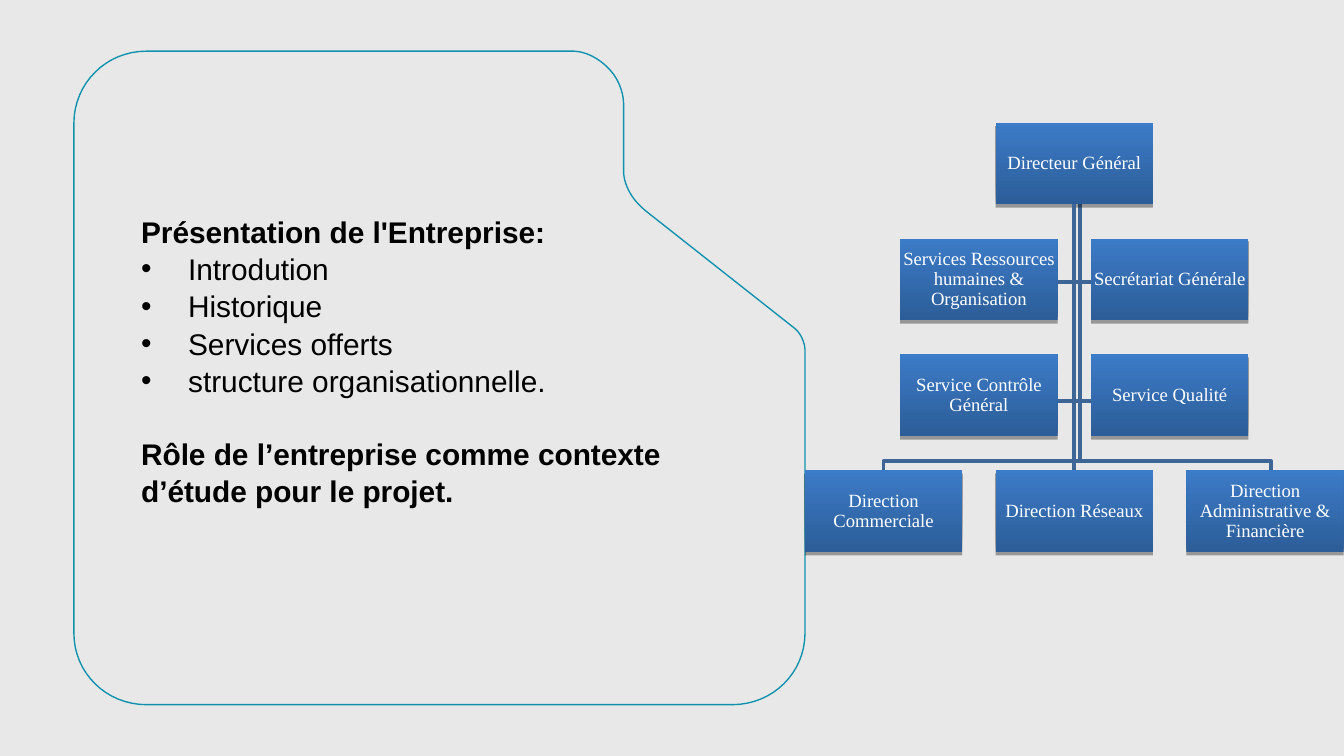
from dataclasses import dataclass

from lxml import etree
from pptx import Presentation
from pptx.dml.color import RGBColor
from pptx.enum import shapes, text
from pptx.oxml import ns
from pptx.util import Pt


@dataclass(frozen=True)
class Theme:
    back: str = "E8E8E8"
    frame: str = "1092AF"
    link: str = "3D6696"
    low: str = "2C5D98"
    high: str = "3C7BC7"
    ink: str = "000000"
    light: str = "FFFFFF"
    body: float = 16
    label: float = 10


THEME = Theme()
BOX_W, BOX_H = 84.3, 43.8
LEFT, TOP = 431.2, 65.7
STEP_X, STEP_Y = 51.1, 62.1
MID = LEFT + 2 * STEP_X + BOX_W / 2
LINE = 19.2

# Two numbers are a corner, six are a curve: two handles and an end.
FRAME = [
    (431.3, 339.1), (431.3, 360.5, 414, 377.5, 392.4, 377.5),
    (78.5, 377.5), (56.9, 377.5, 39.6, 360.5, 39.6, 339.1),
    (39.6, 66.2), (39.6, 44.6, 56.9, 27.4, 78.5, 27.4),
    (306.5, 27.4), (311, 27.4, 317.5, 28.8, 324.7, 35.3),
    (333.4, 43.2, 334.1, 53.3, 334.1, 55.4),
    (334.1, 91.4), (334.1, 94.3, 334.8, 104.4, 347, 113.8),
    (425.5, 175.7), (425.5, 175.7, 430.6, 179.3, 431.3, 187.2),
]

# Column and row on the half-step grid, then the label.
BOXES = [
    (2, 0, "Directeur Général"),
    (0, 3, "Direction Commerciale"),
    (2, 3, "Direction Réseaux"),
    (4, 3, "Direction Administrative & Financière"),
    (1, 1, "Services Ressources humaines & Organisation"),
    (3, 1, "Secrétariat Générale"),
    (1, 2, "Service Contrôle Général"),
    (3, 2, "Service Qualité"),
]

ITEMS = ["Introdution", "Historique", "Services offerts",
         "structure organisationnelle."]
HEAD = "Présentation de l'Entreprise:"
ROLE = "Rôle de l’entreprise comme contexte d’étude pour le projet."


def tint(code):
    return RGBColor.from_string(code)


def assign(item, values):
    for name, value in values.items():
        setattr(item, name, value)


def node(parent, tag, **attrs):
    return etree.SubElement(parent, ns.qn(tag), attrs)


def trace(steps, parts=16):
    """Turn corners and curves into a list of points."""
    dots = []
    for step in steps:
        if len(step) == 2:
            dots.append(step)
            continue
        (ax, ay), (bx, by, cx, cy, dx, dy) = dots[-1], step
        for i in range(1, parts + 1):
            t = i / parts
            s = 1 - t
            k = s ** 3, 3 * s * s * t, 3 * s * t * t, t ** 3
            dots.append(tuple(sum(a * b for a, b in zip(k, axis))
                              for axis in ((ax, bx, cx, dx), (ay, by, cy, dy))))
    return dots


def stroke(line, color, width):
    line.color.rgb = tint(color)
    line.width = Pt(width)


def draw(slide, dots, color, width, close=False):
    """Draw an unfilled line through the given points."""
    first, *rest = [(Pt(x), Pt(y)) for x, y in dots]
    pen = slide.shapes.build_freeform(*first)
    pen.add_line_segments(rest, close=close)
    shape = pen.convert_to_shape()
    shape.fill.background()
    stroke(shape.line, color, width)
    shape.shadow.inherit = False


def write(para, words, size, face, color, bold=False):
    run = para.add_run()
    run.text = words
    assign(run.font, {"size": Pt(size), "name": face, "bold": bold})
    run.font.color.rgb = tint(color)


def shade(shape):
    shape.shadow.inherit = False
    effects = shape._element.spPr.find(ns.qn("a:effectLst"))
    outer = node(effects, "a:outerShdw", blurRad="0", dist=str(Pt(1.8)),
                 dir="5400000", rotWithShape="0")
    color = node(outer, "a:srgbClr", val=THEME.ink)
    node(color, "a:alpha", val="35000")


def add_box(slide, col, row, label):
    box = slide.shapes.add_shape(
        shapes.MSO_SHAPE.RECTANGLE, Pt(LEFT + col * STEP_X),
        Pt(TOP + row * STEP_Y), Pt(BOX_W), Pt(BOX_H))
    box.fill.gradient()
    box.fill.gradient_angle = 90
    for stop, code in zip(box.fill.gradient_stops, (THEME.low, THEME.high)):
        stop.color.rgb = tint(code)
    box.line.fill.background()
    shade(box)
    frame = box.text_frame
    pad = Pt(0.7)
    assign(frame, {"word_wrap": True, "margin_left": pad, "margin_right": pad,
                   "margin_top": pad, "margin_bottom": pad,
                   "vertical_anchor": text.MSO_ANCHOR.MIDDLE})
    para = frame.paragraphs[0]
    assign(para, {"alignment": text.PP_ALIGN.CENTER, "line_spacing": 0.9,
                  "space_after": Pt(4)})
    write(para, label, THEME.label, "Times New Roman", THEME.light)
    return box


def add_links(slide):
    foot, bar, base = TOP + BOX_H, 247, TOP + 3 * STEP_Y
    twin = MID + 3.2
    gap = STEP_X - BOX_W / 2
    for level in (151.1, 214.9):
        draw(slide, [(MID, foot), (MID, level), (MID + gap, level)],
             THEME.link, 2)
        draw(slide, [(twin, foot), (twin, level), (MID - gap, level)],
             THEME.link, 2)
    for stem, end in ((MID, 681), (twin, MID - 2 * STEP_X)):
        draw(slide, [(stem, foot), (stem, bar), (end, bar), (end, base)],
             THEME.link, 2)


def add_trunk(slide, head, base):
    trunk = slide.shapes.add_connector(
        shapes.MSO_CONNECTOR.STRAIGHT, Pt(MID), Pt(TOP + BOX_H),
        Pt(MID), Pt(TOP + 3 * STEP_Y))
    trunk.begin_connect(head, 2)
    trunk.end_connect(base, 0)
    stroke(trunk.line, THEME.link, 2)
    node(trunk._element.spPr, "a:effectLst")


def add_row(frame, words, bold=False, bullet=False, before=0):
    para = frame.paragraphs[0]
    if para.runs:
        para = frame.add_paragraph()
    props = para._p.get_or_add_pPr()
    props.set("marL", str(Pt(36 if bullet else 10.8)))
    props.set("indent", str(Pt(-25.2 if bullet else 0)))
    if bullet:
        node(node(props, "a:buClr"), "a:srgbClr", val=THEME.ink)
        node(props, "a:buFont", typeface="Arial")
        node(props, "a:buChar", char="•")
    else:
        node(props, "a:buNone")
    assign(para, {"alignment": text.PP_ALIGN.LEFT, "line_spacing": 1.04,
                  "space_before": Pt(before), "space_after": Pt(0)})
    write(para, words, THEME.body, "Arial", THEME.ink, bold)


def fill_body(body):
    assign(body, {"left": Pt(57.6), "top": Pt(89.3),
                  "width": Pt(321.8), "height": Pt(226.8)})
    frame = body.text_frame
    pad = Pt(7.2)
    assign(frame, {"word_wrap": True, "auto_size": text.MSO_AUTO_SIZE.NONE,
                   "vertical_anchor": text.MSO_ANCHOR.MIDDLE,
                   "margin_left": pad, "margin_right": pad,
                   "margin_top": pad, "margin_bottom": Pt(7.2 + LINE)})
    add_row(frame, HEAD, bold=True)
    for item in ITEMS:
        add_row(frame, item, bullet=True)
    add_row(frame, ROLE, bold=True, before=LINE)


def main():
    deck = Presentation()
    assign(deck, {"slide_width": Pt(720), "slide_height": Pt(405)})
    slide = deck.slides.add_slide(deck.slide_layouts[0])
    slide.background.fill.solid()
    slide.background.fill.fore_color.rgb = tint(THEME.back)
    title = slide.shapes.title._element
    title.getparent().remove(title)
    fill_body(slide.placeholders[1])
    draw(slide, trace(FRAME), THEME.frame, 0.75, close=True)
    add_links(slide)
    boxes = {(col, row): add_box(slide, col, row, label)
             for col, row, label in BOXES}
    add_trunk(slide, boxes[2, 0], boxes[2, 3])
    deck.save("out.pptx")


if __name__ == "__main__":
    main()
